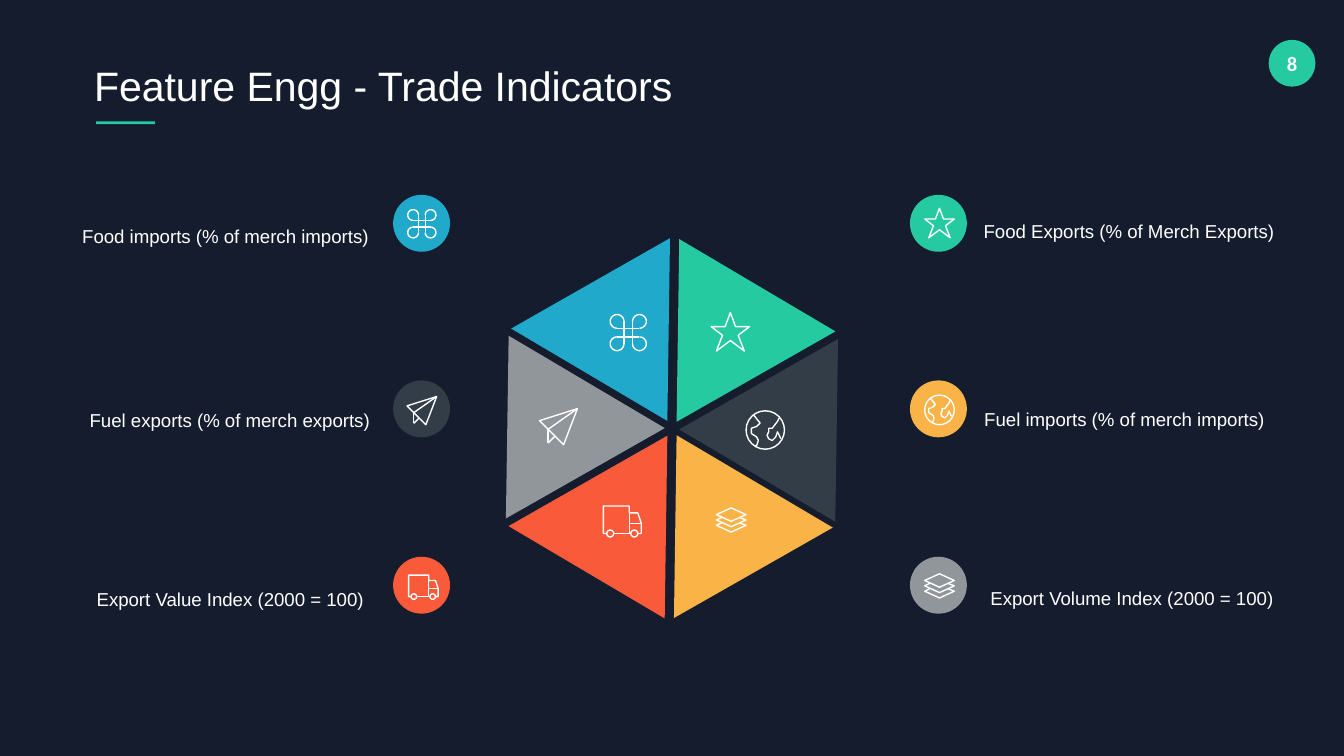
import math
from pptx import Presentation
from pptx.dml.color import RGBColor
from pptx.enum import shapes, text
from pptx.oxml.ns import qn
from pptx.util import Pt

COLORS = {
    "navy": "141C2D", "white": "FFFFFF", "green": "25CAA0", "blue": "20A9CA",
    "slate": "333D47", "orange": "F95B3A", "yellow": "F9B347", "gray": "91969B",
}
ICON_UNIT = 0.72  # points per icon grid unit
SHAPE = shapes.MSO_SHAPE
LEFT, RIGHT, CENTER = text.PP_ALIGN.LEFT, text.PP_ALIGN.RIGHT, text.PP_ALIGN.CENTER


def arc(cx, cy, r, sweep=360, flip_x=1, flip_y=1):
    """Points of an arc that starts straight below its centre."""
    angles = [math.radians(90 + a) for a in range(0, sweep + 1, 15)]
    return [(cx + flip_x * r * math.cos(a), cy + flip_y * r * math.sin(a))
            for a in angles]


def filled(kind, x, y, w, h, color):
    part = slide.shapes.add_shape(kind, Pt(x), Pt(y), Pt(w), Pt(h))
    part.shadow.inherit = False
    part.fill.solid()
    part.fill.fore_color.rgb = RGBColor.from_string(COLORS[color])
    part.line.fill.background()
    return part


# Icon strokes, on a grid centred on each icon
corners = [(sx, sy) for sx in (-1, 1) for sy in (-1, 1)]
icons = {
    "command": [arc(6.5 * sx, 6.5 * sy, 4, 270, -sx, -sy) for sx, sy in corners]
    + [[(s * 2.5, -6.5), (s * 2.5, 6.5)] for s in (-1, 1)]
    + [[(-6.5, s * 2.5), (6.5, s * 2.5)] for s in (-1, 1)],
    "star": [[(0, -11), (3, -3), (11, -3), (4.5, 2), (8, 11), (0, 5), (-8, 11),
              (-4.5, 2), (-11, -3), (-3, -3), (0, -11)]],
    "plane": [[(11, -10.5), (3, 10.5), (-11, -3.5), (11, -10.5)],
              [(11, -10.5), (-6, 1.5)], [(-6, 1.5), (-6, 9.5)],
              [(-2, 5.5), (-6, 9.5)]],
    "globe": [arc(0, 0, 11),
              [(-7, -9), (-3, -4), (-5, -2), (-8, -1), (-8, 2), (-5, 4), (-4, 6),
               (-5, 9), (-6, 9)],
              [(8, -7), (7, -5), (4, -1), (2, -1), (2, 1), (1, 3), (2, 5), (4, 6),
               (6, 4), (7, 1), (9, 5)]],
    "truck": [arc(-7, 7, 2), arc(7, 7, 2),
              [(-9, 7), (-11, 7), (-11, -9), (4, -9), (4, -5), (9, -5), (11, 1),
               (11, 7), (9, 7)],
              [(-5, 7), (5, 7)], [(4, -5), (4, 7)], [(11, 1), (4, 1)]],
    "layers": [[(0, -9), (-11, -4), (0, 1), (11, -4), (0, -9)]]
    + [[(6, y - 2), (11, y), (0, y + 5), (-11, y), (-7, y - 2)] for y in (0, 4)],
}

# Slide and background
deck = Presentation()
deck.slide_width, deck.slide_height = Pt(720), Pt(405)
slide = deck.slides.add_slide(deck.slide_layouts[5])
slide.background.fill.solid()
slide.background.fill.fore_color.rgb = RGBColor.from_string(COLORS["navy"])

# Page number, accent under the title
page = filled(SHAPE.OVAL, 679.7, 21.4, 25, 25, "green")
filled(SHAPE.RECTANGLE, 51.5, 65, 31.7, 1.6, "green")

# Hexagon: centre of each triangle, rotation
for kind, cx, cy, turn, color in [
    (SHAPE.FLOWCHART_EXTRACT, 384.1, 189.4, 210.6, "green"),
    (SHAPE.FLOWCHART_MERGE, 427.3, 218.2, 210.6, "slate"),
    (SHAPE.FLOWCHART_EXTRACT, 382.7, 294.5, 210.6, "yellow"),
    (SHAPE.FLOWCHART_EXTRACT, 335.9, 270, 30.6, "orange"),
    (SHAPE.FLOWCHART_MERGE, 292.7, 241.2, 30.6, "gray"),
    (SHAPE.FLOWCHART_EXTRACT, 337.3, 164.2, 30.6, "blue"),
]:
    triangle = filled(kind, cx - 48.6, cy - 42.5, 97.2, 85, color)
    triangle.rotation = turn

# Discs beside the labels
for x, column in [(210.6, ("blue", "slate", "orange")),
                  (487.5, ("green", "yellow", "gray"))]:
    for y, color in zip((104.4, 203.8, 298.3), column):
        filled(SHAPE.OVAL, x, y, 30.5, 30.5, color)

# Icons: once on a disc, once enlarged in the hexagon
for icon, disc_spot, hexagon_spot, zoom in [
    ("command", (226, 119.9), (336.6, 178.2), 1.28),
    ("plane", (226, 220), (299.2, 228.6), 1.28),
    ("truck", (226.8, 314.6), (333.4, 279.4), 1.28),
    ("star", (503.3, 119.5), (391.3, 177.8), 1.3),
    ("globe", (503.3, 219.6), (410, 230.4), 1.3),
    ("layers", (503.3, 313.9), (391.7, 278.6), 1),
]:
    for (cx, cy), scale in ((disc_spot, 1), (hexagon_spot, zoom)):
        group = slide.shapes.add_group_shape()
        for stroke in icons[icon]:
            points = [(Pt(cx + x * ICON_UNIT * scale), Pt(cy + y * ICON_UNIT * scale))
                      for x, y in stroke]
            if len(points) == 2:
                outline = group.shapes.add_connector(
                    shapes.MSO_CONNECTOR.STRAIGHT, *points[0], *points[1])
                outline._element.spPr.append(
                    outline._element.makeelement(qn("a:effectLst"), {}))
            else:
                builder = group.shapes.build_freeform(*points[0])
                builder.add_line_segments(points[1:], close=False)
                outline = builder.convert_to_shape()
                outline.fill.background()
                outline.shadow.inherit = False
            outline.line.color.rgb = RGBColor.from_string(COLORS["white"])
            outline.line.width = Pt(0.75)

# Wording: frame, content, left, top, width, height, alignment, font, size
title = slide.shapes.title
wording = [
    (title, "Feature Engg - Trade Indicators", 50.4, 32.4, 335.5, 26.6, LEFT, "Arial", 22),
    (page, "8", 679.7, 21.4, 25, 25, CENTER, "Calibri", 11),
]
for label, x, y, w, h, align in [
    ("Food imports (% of merch imports)", 18.7, 112.3, 178.6, 23, RIGHT),
    ("Fuel exports (% of merch exports)", 19.4, 211, 178.6, 15.1, RIGHT),
    ("Export Value Index (2000 = 100)", 51.8, 306.7, 146.9, 15.1, LEFT),
    ("Food Exports (% of Merch Exports)", 527, 109.4, 168.5, 20.2, LEFT),
    ("Fuel imports (% of merch imports)", 527.3, 210.2, 153.4, 15.1, LEFT),
    ("Export Volume Index (2000 = 100)", 530.6, 306, 156.2, 15.1, LEFT),
]:
    box = slide.shapes.add_textbox(Pt(x), Pt(y), Pt(w), Pt(h))
    wording.append((box, label, x, y, w, h, align, "Arial", 10))

for part, content, x, y, w, h, align, font, size in wording:
    part.left, part.top, part.width, part.height = Pt(x), Pt(y), Pt(w), Pt(h)
    frame = part.text_frame
    frame.text = content
    frame.word_wrap = True
    frame.auto_size = text.MSO_AUTO_SIZE.NONE
    frame.margin_left = frame.margin_right = frame.margin_top = frame.margin_bottom = 0
    is_label = size == 10
    frame.vertical_anchor = text.MSO_ANCHOR.TOP if is_label else text.MSO_ANCHOR.MIDDLE
    paragraph = frame.paragraphs[0]
    paragraph.alignment = align
    paragraph.line_spacing = 1.68 if is_label else 1
    paragraph.font.name, paragraph.font.size = font, Pt(size)
    paragraph.font.bold = part is page
    paragraph.font.color.rgb = RGBColor.from_string(COLORS["white"])

deck.save("out.pptx")
